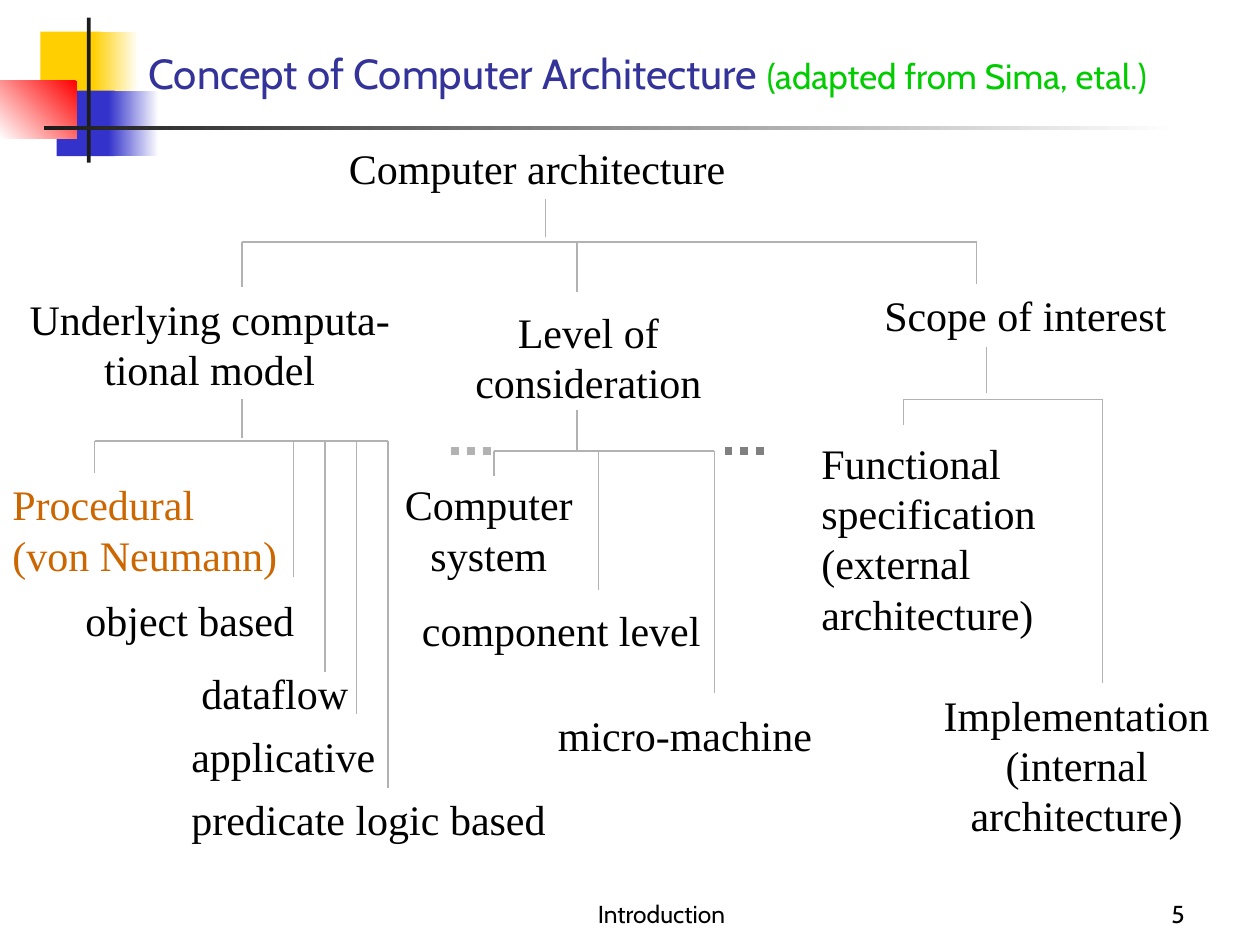
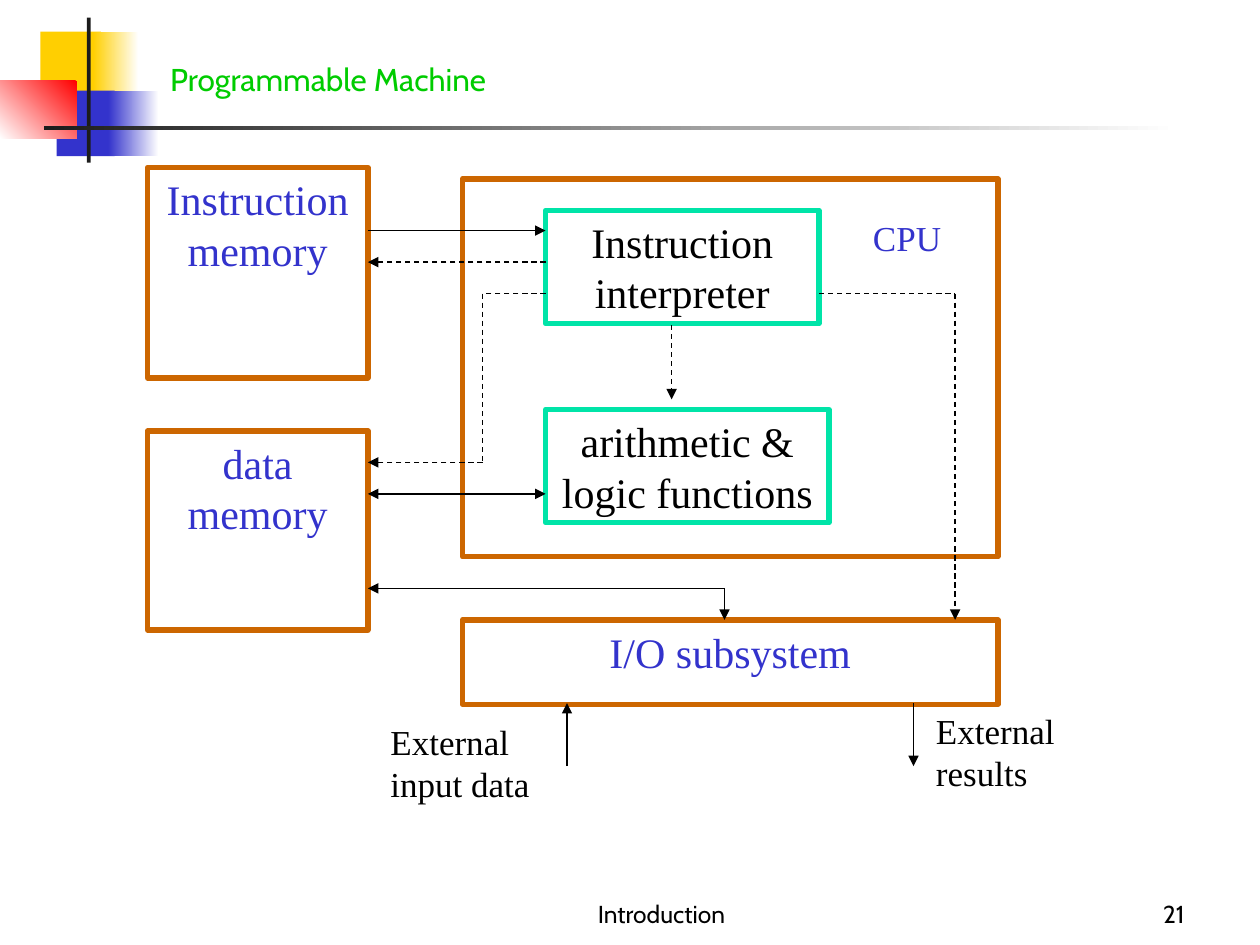
from itertools import pairwise

from lxml.etree import SubElement
from pptx import Presentation
from pptx.dml.color import RGBColor
from pptx.enum.dml import MSO_LINE
from pptx.enum.shapes import MSO_CONNECTOR, MSO_SHAPE
from pptx.enum.text import MSO_ANCHOR, MSO_AUTO_SIZE, PP_ALIGN as ALIGN
from pptx.oxml.ns import qn
from pptx.util import Inches, Pt

BLACK, INK = "000000", "1C1C1C"
WHITE, RED, YELLOW = "FFFFFF", "FF0000", "FFCF01"
BLUE, NAVY, GREEN = "3333CC", "333399", "00CC00"
ORANGE, TEAL = "CC6600", "00E4A8"
SILVER, GRAY = "B2B2B2", "808080"
SANS, SERIF = "Cabin", "Times New Roman"

MOTIF = [
    ((0.32, 0.25, 0.48, 0.52), [YELLOW], 0),
    ((0.74, 0.25, 0.36, 0.52), [WHITE, YELLOW], 180),
    ((0.45, 0.72, 0.46, 0.52), [BLUE], 0),
    ((0.86, 0.72, 0.4, 0.52), [WHITE, BLUE], 180),
    ((0, 0.64, 0.61, 0.46), [RED, WHITE], 225),
    ((0.69, 0.14, 0.03, 1.15), [INK], 0),
    ((0.35, 1, 9, 0.03), [WHITE, INK], 180),
]


def rgb(value):
    return RGBColor.from_string(value)


def inches(values):
    return [Inches(value) for value in values]


def apply(target, values):
    for name, value in values.items():
        setattr(target, name, value)


def write(frame, paragraphs, font=SERIF, align=ALIGN.LEFT, anchor=MSO_ANCHOR.TOP):
    apply(frame, {
        "word_wrap": True,
        "auto_size": MSO_AUTO_SIZE.NONE,
        "vertical_anchor": anchor,
    })
    for index, runs in enumerate(paragraphs):
        paragraph = frame.add_paragraph() if index else frame.paragraphs[0]
        paragraph.alignment = align
        for text, size, color in runs:
            run = paragraph.add_run()
            run.text = text
            apply(run.font, {"name": font, "size": Pt(size)})
            run.font.color.rgb = rgb(color)


def add_text(slide, text, box, size=24, color=BLACK, **layout):
    label = slide.shapes.add_textbox(*inches(box))
    write(label.text_frame, [[(line, size, color)] for line in text.split("\n")], **layout)


def add_rect(slide, box):
    rect = slide.shapes.add_shape(MSO_SHAPE.RECTANGLE, *inches(box))
    rect.shadow.inherit = False
    return rect


def add_block(slide, box, border, text="", color=BLACK):
    block = add_rect(slide, box)
    block.fill.background()
    block.line.color.rgb = rgb(border)
    block.line.width = Pt(3)
    if text:
        write(block.text_frame, [[(text, 24, color)]], align=ALIGN.CENTER)


def add_motif(slide):
    for box, colors, angle in MOTIF:
        patch = add_rect(slide, box)
        patch.line.fill.background()
        if len(colors) == 1:
            patch.fill.solid()
            patch.fill.fore_color.rgb = rgb(colors[0])
            continue
        patch.fill.gradient()
        patch.fill.gradient_angle = angle
        for stop, color in zip(patch.fill.gradient_stops, colors):
            stop.color.rgb = rgb(color)


def add_line(slide, start, end, color=BLACK, width=0.75, dash=None, head=False, tail=False):
    line = slide.shapes.add_connector(MSO_CONNECTOR.STRAIGHT, *inches(start + end))
    line.line.color.rgb = rgb(color)
    apply(line.line, {"width": Pt(width), "dash_style": dash})
    properties = line.element.spPr
    outline = properties.find(qn("a:ln"))
    for tag, wanted in (("a:headEnd", head), ("a:tailEnd", tail)):
        if wanted:
            SubElement(outline, qn(tag), type="triangle")
    SubElement(properties, qn("a:effectLst"))


def add_route(slide, points, dash=None, head=False, tail=False):
    legs = list(pairwise(points))
    for index, (start, end) in enumerate(legs):
        add_line(slide, start, end, dash=dash,
                 head=head and index == 0, tail=tail and index == len(legs) - 1)


def add_branch(slide, trunk_x, trunk_top, trunk_bottom, rail_y, drops):
    add_line(slide, (trunk_x, trunk_top), (trunk_x, trunk_bottom), SILVER)
    add_line(slide, (min(drops), rail_y), (max(drops), rail_y), SILVER)
    for x, bottom in drops.items():
        add_line(slide, (x, rail_y), (x, bottom), SILVER)


def start_slide(deck, number, title_runs, title_box, title_anchor):
    slide = deck.slides.add_slide(deck.slide_layouts[5])
    add_motif(slide)
    title = slide.shapes.title
    apply(title, dict(zip(("left", "top", "width", "height"), inches(title_box))))
    write(title.text_frame, [title_runs], SANS, anchor=title_anchor)
    footer = {"size": 14, "font": SANS, "anchor": MSO_ANCHOR.BOTTOM}
    add_text(slide, "Introduction", (3.67, 6.92, 3.16, 0.5), align=ALIGN.CENTER, **footer)
    add_text(slide, str(number), (7.42, 6.92, 2.08, 0.5), align=ALIGN.RIGHT, **footer)
    return slide


def build_concept(deck):
    slide = start_slide(
        deck, 5,
        [("Concept of Computer Architecture ", 24, NAVY),
         ("(adapted from Sima, etal.)", 20, GREEN)],
        (1.08, 0.33, 8.75, 0.5), MSO_ANCHOR.MIDDLE)

    add_branch(slide, 4.33, 1.58, 1.88, 1.92, {1.92: 2.28, 4.58: 2.32, 7.75: 2.25})
    add_branch(slide, 1.92, 3.17, 3.48, 3.5,
               {0.75: 3.75, 2.33: 4.58, 2.58: 5.33, 2.83: 5.67, 3.08: 6.25})
    add_branch(slide, 4.58, 3.25, 3.58, 3.58, {3.92: 3.78, 4.75: 4.68, 5.67: 5.5})
    add_branch(slide, 7.83, 2.75, 3.12, 3.17, {7.17: 3.37, 8.75: 5.42})
    for left, right, color in ((3.58, 3.92, SILVER), (5.75, 6.08, GRAY)):
        add_line(slide, (left, 3.58), (right, 3.58), color, 4.5, MSO_LINE.ROUND_DOT)

    centered_topics = [
        ("Underlying computa-tional model", (0, 2.28, 3.33, 0.7)),
        ("Level of consideration", (3.42, 2.38, 2.5, 0.5)),
        ("Computer system", (3.08, 3.75, 1.6, 0.5)),
        ("Implementation\n(internal architecture)", (7.33, 5.42, 2.43, 0.69)),
    ]
    topics = [
        ("Computer architecture", (2.67, 1.08, 3.33, 0.48)),
        ("Scope of interest", (6.92, 2.25, 2.5, 0.5)),
        ("object based", (0.58, 4.67, 2, 0.55)),
        ("dataflow", (1.5, 5.25, 1.4, 0.55)),
        ("applicative", (1.42, 5.75, 1.83, 0.4)),
        ("predicate logic based", (1.42, 6.25, 3.08, 0.5)),
        ("component level", (3.25, 4.75, 2.42, 0.58)),
        ("micro-machine", (4.33, 5.58, 2.33, 0.58)),
        ("Functional specification\n(external architecture)", (6.42, 3.42, 2.08, 0.9)),
    ]
    for text, box in centered_topics:
        add_text(slide, text, box, align=ALIGN.CENTER)
    for text, box in topics:
        add_text(slide, text, box)
    add_text(slide, "Procedural (von Neumann)", (0, 3.75, 2.33, 0.75), color=ORANGE)


def build_machine(deck):
    slide = start_slide(deck, 21, [("Programmable Machine", 18, GREEN)],
                        (1.25, 0.33, 8.08, 0.5), MSO_ANCHOR.BOTTOM)

    add_block(slide, (3.67, 1.42, 4.25, 3), ORANGE)
    for text, box in (
        ("Instruction memory", (1.17, 1.33, 1.75, 1.67)),
        ("data memory", (1.17, 3.42, 1.75, 1.58)),
        ("I/O subsystem", (3.67, 4.92, 4.25, 0.67)),
    ):
        add_block(slide, box, ORANGE, text, BLUE)
    for text, box in (
        ("Instruction interpreter", (4.33, 1.67, 2.17, 0.9)),
        ("arithmetic & logic functions", (4.33, 3.25, 2.25, 0.9)),
    ):
        add_block(slide, box, TEAL, text)

    for text, box, color in (
        ("CPU", (6.83, 1.67, 1, 0.44), BLUE),
        ("External input data", (3, 5.67, 1.42, 0.77), BLACK),
        ("External results", (7.33, 5.58, 1.25, 0.77), BLACK),
    ):
        add_text(slide, text, box, 20, color)

    data_flows = [
        ([(2.92, 1.83), (4.33, 1.83)], False),
        ([(2.92, 3.92), (4.33, 3.92)], True),
        ([(2.92, 4.67), (5.75, 4.67), (5.75, 4.92)], True),
        ([(4.5, 6.08), (4.5, 5.58)], False),
        ([(7.25, 5.58), (7.25, 6.08)], False),
    ]
    control_flows = [
        [(4.33, 2.08), (2.92, 2.08)],
        [(5.33, 2.58), (5.33, 3.17)],
        [(4.33, 2.33), (3.83, 2.33), (3.83, 3.67), (2.92, 3.67)],
        [(6.5, 2.33), (7.58, 2.33), (7.58, 4.92)],
    ]
    for points, two_way in data_flows:
        add_route(slide, points, head=two_way, tail=True)
    for points in control_flows:
        add_route(slide, points, MSO_LINE.DASH, tail=True)


def main():
    deck = Presentation()
    apply(deck, {"slide_width": Inches(10), "slide_height": Inches(7.5)})
    build_concept(deck)
    build_machine(deck)
    deck.save("out.pptx")


if __name__ == "__main__":
    main()
